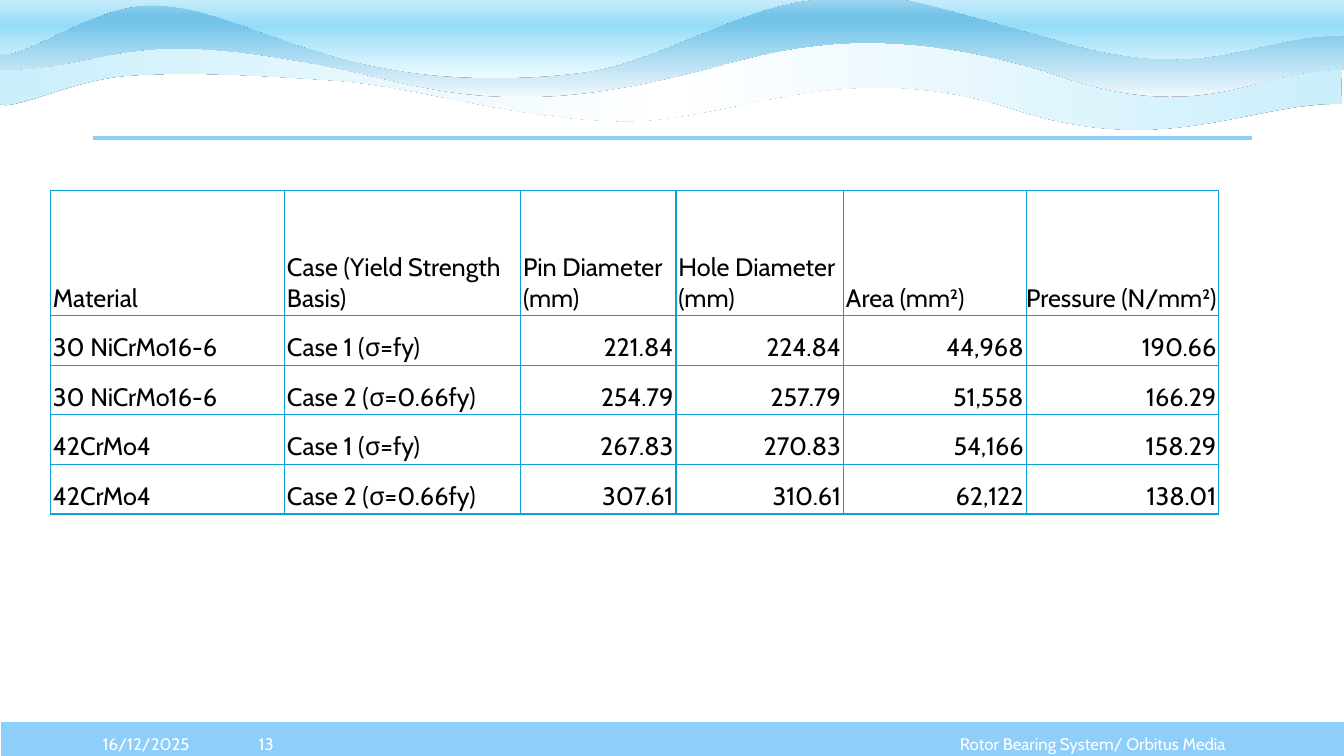
from dataclasses import dataclass

from lxml import etree
from pptx import Presentation
from pptx.dml.color import RGBColor
from pptx.enum.shapes import MSO_CONNECTOR, MSO_SHAPE
from pptx.enum.text import MSO_ANCHOR, PP_ALIGN
from pptx.oxml import parse_xml
from pptx.oxml.ns import nsdecls, qn
from pptx.slide import Slide
from pptx.table import _Cell
from pptx.text.text import _Paragraph
from pptx.util import Inches, Pt

LEFT, CENTER, RIGHT = PP_ALIGN.LEFT, PP_ALIGN.CENTER, PP_ALIGN.RIGHT
MIDDLE, BOTTOM = MSO_ANCHOR.MIDDLE, MSO_ANCHOR.BOTTOM
RECTANGLE, STRAIGHT = MSO_SHAPE.RECTANGLE, MSO_CONNECTOR.STRAIGHT

WHITE = RGBColor(0xFF, 0xFF, 0xFF)
BLACK = RGBColor(0x00, 0x00, 0x00)
SKY = RGBColor(0x8E, 0xCE, 0xFA)
BORDER = RGBColor(0x0F, 0x9E, 0xD5)
MIST = RGBColor(0xCA, 0xEE, 0xFB)
FROST = RGBColor(0xF0, 0xF8, 0xFD)
DEEP = RGBColor(0x74, 0xC4, 0xE9)
PALE = RGBColor(0xA2, 0xD8, 0xF0)
AQUA = RGBColor(0x96, 0xDC, 0xF8)
ICE = RGBColor(0xEF, 0xFC, 0xFF)

FONT = "Cabin"

Point = tuple[float, float]


@dataclass
class Wave:
    """A band in slide inches: curved lower edge, then straight top edge."""
    box: tuple[float, float, float, float]
    start: Point
    curves: list[tuple[Point, Point, Point]]
    top_edge: list[Point]
    stops: list[tuple[int, RGBColor]]
    angle: int


@dataclass
class Label:
    left: float
    top: float
    width: float
    height: float
    text: str
    alignment: PP_ALIGN


WAVES = [
    Wave((-0.04, 0.3, 13.36, 0.98), (13.3, 1.03),
         [((12.37, 1.02), (11.52, 1.59), (9.99, 1.06)),
          ((8.27, 0.54), (7.21, 1.24), (6.1, 1.2)),
          ((4.99, 1.16), (4.21, 0.87), (3.35, 0.8)),
          ((2.49, 0.74), (1.83, 0.71), (1.27, 0.75)),
          ((0.71, 0.79), (0.14, 1.11), (-0.02, 1.03))],
         [(-0.04, 0.3), (3.13, 0.31), (6.52, 0.34), (9.41, 0.32), (13.32, 0.34)],
         [(0, MIST), (50, WHITE), (100, MIST)], 0),
    Wave((0, -0.02, 13.33, 0.98), (13.32, 0.69),
         [((12.39, 0.69), (11.96, 1.27), (10.44, 0.73)),
          ((8.71, 0.19), (7.73, 0.49), (7.06, 0.67)),
          ((5.28, 1.14), (4.59, 0.97), (3.46, 0.7)),
          ((1.13, 0.21), (1.15, 0.69), (0, 0.69))],
         [(0.01, -0.01), (3.13, 0), (6.54, -0.02), (9.46, -0.01), (13.33, 0.03)],
         [(0, FROST), (74, DEEP), (83, DEEP), (100, PALE)], 90),
    Wave((-0.03, -0.28, 13.36, 1.06), (13.32, 0.35),
         [((12.39, 0.35), (11.96, 0.86), (10.44, 0.38)),
          ((8.72, -0.09), (8.91, -0.07), (8.13, -0.01)),
          ((7.35, 0.04), (6.53, 0.62), (5.76, 0.72)),
          ((4.98, 0.82), (4.24, 0.79), (3.47, 0.6)),
          ((2.58, 0.36), (2.07, 0.05), (1.5, 0.05)),
          ((0.92, 0.04), (0.22, 0.61), (-0.03, 0.53))],
         [(0.01, -0.27), (3.13, -0.26), (6.54, -0.28), (9.46, -0.27), (13.33, -0.24)],
         [(0, ICE), (50, AQUA), (100, WHITE)], 90),
]

FOOTER_LABELS = [
    Label(9.3, 7.24, 3.08, 0.28, "Rotor Bearing System/ Orbitus Media", CENTER),
    Label(0.92, 7.18, 1.22, 0.4, "16/12/2025", LEFT),
    Label(2.13, 7.18, 1.02, 0.4, "13", CENTER),
]

TABLE_WIDTH, TABLE_HEIGHT, HEADER_HEIGHT = 11.59, 3.21, 1.24
COLUMN_SHARES = [2.32, 2.34, 1.54, 1.66, 1.81, 1.91]
CELL_MARGIN = 1 / 40
TEXT_COLUMNS = 2
TABLE_ROWS = [
    ["Material", "Case (Yield Strength Basis)", "Pin Diameter (mm)",
     "Hole Diameter (mm)", "Area (mm²)", "Pressure (N/mm²)"],
    ["30 NiCrMo16-6", "Case 1 (σ=fy)", "221.84", "224.84", "44,968", "190.66"],
    ["30 NiCrMo16-6", "Case 2 (σ=0.66fy)", "254.79", "257.79", "51,558", "166.29"],
    ["42CrMo4", "Case 1 (σ=fy)", "267.83", "270.83", "54,166", "158.29"],
    ["42CrMo4", "Case 2 (σ=0.66fy)", "307.61", "310.61", "62,122", "138.01"],
]


def write_run(paragraph: _Paragraph, text: str, size: int, color: RGBColor,
              alignment: PP_ALIGN) -> None:
    paragraph.alignment = alignment
    run = paragraph.add_run()
    run.text = text
    run.font.name = FONT
    run.font.size = Pt(size)
    run.font.color.rgb = color


def draw_wave(slide: Slide, wave: Wave) -> None:
    left, top, width, height = wave.box

    def turned(point: Point) -> Point:
        """Turn a slide point by half a turn within the wave's box."""
        return Inches(left + width - point[0]), Inches(top + height - point[1])

    anchors = [wave.start] + [curve[-1] for curve in wave.curves] + wave.top_edge
    outline = [turned(point) for point in anchors]
    builder = slide.shapes.build_freeform(*outline[0])
    builder.add_line_segments(outline[1:], close=True)
    shape = builder.convert_to_shape()
    shape.left, shape.top = Inches(left), Inches(top)
    shape.width, shape.height = Inches(width), Inches(height)
    shape.rotation = 180
    shape.line.fill.background()
    shape.fill.background()
    properties = shape.element.spPr

    # Bend the lower edge: its straight segments become cubic curves
    outline_element = next(properties.iter(qn("a:path")))
    outline_element.set("w", str(Inches(width)))
    outline_element.set("h", str(Inches(height)))
    segments = [("moveTo", [wave.start])]
    segments += [("cubicBezTo", curve) for curve in wave.curves]
    segments += [("lnTo", [point]) for point in wave.top_edge]
    for old, (name, points) in zip(list(outline_element), segments):
        segment = etree.Element(qn(f"a:{name}"))
        for x, y in map(turned, points):
            etree.SubElement(segment, qn("a:pt"), x=str(x), y=str(y))
        outline_element.replace(old, segment)

    stops = "".join(f'<a:gs pos="{position * 1000}"><a:srgbClr val="{color}"/></a:gs>'
                    for position, color in wave.stops)
    gradient = parse_xml(f'<a:gradFill {nsdecls("a")} rotWithShape="1"><a:gsLst>{stops}'
                         f'</a:gsLst><a:lin ang="{wave.angle * 60000}" scaled="0"/></a:gradFill>')
    properties.replace(properties.find(qn("a:noFill")), gradient)
    # A shadow without offset gives the fine dark edge
    shape.shadow.inherit = False
    properties.find(qn("a:effectLst")).append(parse_xml(
        f'<a:outerShdw {nsdecls("a")} blurRad="0" dist="0" dir="0">'
        f'<a:srgbClr val="{BLACK}"/></a:outerShdw>'))


def draw_footer_bar(slide: Slide) -> None:
    bar = slide.shapes.add_shape(RECTANGLE, 0, Inches(7.15), Inches(13.35), Inches(0.4))
    bar.shadow.inherit = False
    bar.fill.solid()
    bar.fill.fore_color.rgb = SKY
    bar.line.color.rgb = WHITE
    bar.line.width = Pt(1.5)


def draw_title_rule(slide: Slide) -> None:
    rule = slide.shapes.add_connector(STRAIGHT, Inches(0.92), Inches(1.37),
                                      Inches(12.42), Inches(1.37))
    rule.line.color.rgb = SKY
    rule.line.width = Pt(3)
    etree.SubElement(rule.element.spPr, qn("a:effectLst"))


def draw_label(slide: Slide, label: Label) -> None:
    box = slide.shapes.add_textbox(Inches(label.left), Inches(label.top),
                                   Inches(label.width), Inches(label.height))
    frame = box.text_frame
    frame.word_wrap = True
    frame.vertical_anchor = MIDDLE
    write_run(frame.paragraphs[0], label.text, 12, WHITE, label.alignment)


def format_cell(cell: _Cell, side_margin: float) -> None:
    cell.vertical_anchor = BOTTOM
    cell.margin_left = cell.margin_right = Inches(side_margin)
    cell.margin_top = cell.margin_bottom = Inches(0.02)
    cell.fill.background()
    properties = cell._tc.get_or_add_tcPr()
    for index, side in enumerate(("lnL", "lnR", "lnT", "lnB")):
        properties.insert(index, parse_xml(
            f'<a:{side} {nsdecls("a")} w="{Pt(1)}"><a:solidFill>'
            f'<a:srgbClr val="{BORDER}"/></a:solidFill></a:{side}>'))


def draw_pin_table(slide: Slide) -> None:
    table = slide.shapes.add_table(
        len(TABLE_ROWS), len(COLUMN_SHARES), Inches(0.5), Inches(1.89),
        Inches(TABLE_WIDTH), Inches(TABLE_HEIGHT)).table
    table.first_row = table.horz_banding = False
    for column, share in zip(table.columns, COLUMN_SHARES):
        column.width = Inches(TABLE_WIDTH * share / sum(COLUMN_SHARES))
    body_height = (TABLE_HEIGHT - HEADER_HEIGHT) / (len(TABLE_ROWS) - 1)
    for row_index, row in enumerate(table.rows):
        row.height = Inches(body_height if row_index else HEADER_HEIGHT)
        for column_index, text in enumerate(TABLE_ROWS[row_index]):
            cell = row.cells[column_index]
            is_pressure_header = row_index == 0 and column_index == len(COLUMN_SHARES) - 1
            format_cell(cell, 0 if is_pressure_header else CELL_MARGIN)
            is_number = row_index > 0 and column_index >= TEXT_COLUMNS
            write_run(cell.text_frame.paragraphs[0], text, 18, BLACK,
                      RIGHT if is_number else LEFT)


def main() -> None:
    presentation = Presentation()
    presentation.slide_width, presentation.slide_height = Inches(13.33), Inches(7.5)
    slide = presentation.slides.add_slide(presentation.slide_layouts[6])
    # Background decoration
    draw_footer_bar(slide)
    for wave in WAVES:
        draw_wave(slide, wave)
    draw_title_rule(slide)
    # Footer text and content
    for label in FOOTER_LABELS:
        draw_label(slide, label)
    draw_pin_table(slide)
    presentation.save("out.pptx")


if __name__ == "__main__":
    main()
